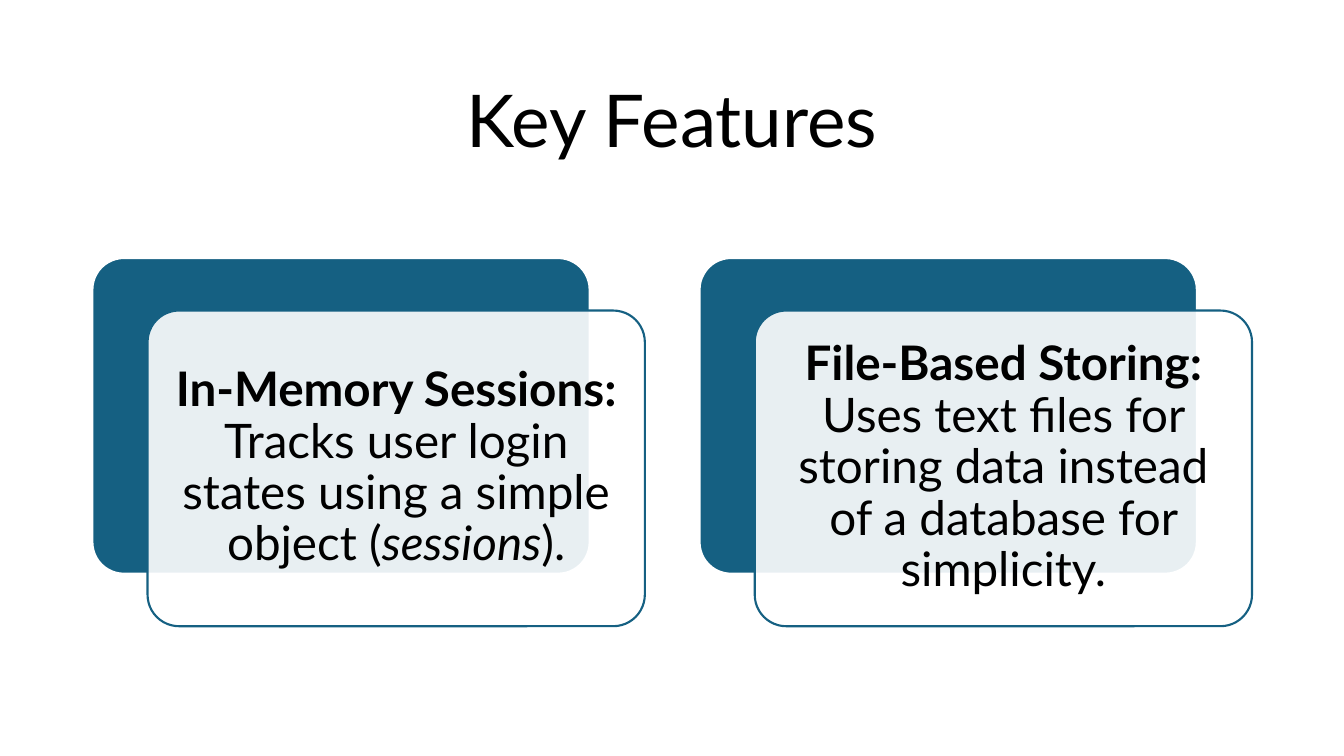
from lxml.etree import SubElement
from pptx import Presentation
from pptx.dml.color import RGBColor
from pptx.enum.shapes import MSO_SHAPE as Shape
from pptx.enum.text import MSO_ANCHOR as Anchor, PP_ALIGN as Align
from pptx.oxml.ns import qn
from pptx.util import Pt

TITLE = "Key Features"
FEATURES = [
    [("In-Memory Sessions: ", "bold"),
     ("Tracks user login states using a simple object (", ""),
     ("sessions", "italic"),
     (").", "")],
    [("File-Based Storing: ", "bold"),
     ("Uses text files for storing data instead of a database for simplicity.", "")],
]
BLUE, WHITE, BLACK = "156082", "FFFFFF", "000000"
FONT = "Lato"

LEFT, TOP = 66, 184.3
CARD_WIDTH, CARD_HEIGHT = 355.2, 225.5
CARD_STEP = 433.7
SHIFT_X, SHIFT_Y = 39.4, 37.5
TEXT_INSET = 6.6


def color(value):
    return RGBColor.from_string(value)


def add_text(page, spans, left, top, width, height, size, margin):
    frame = page.shapes.add_textbox(Pt(left), Pt(top), Pt(width), Pt(height)).text_frame
    frame.word_wrap = True
    frame.vertical_anchor = Anchor.MIDDLE
    frame.margin_left = frame.margin_right = Pt(margin)
    frame.margin_top = frame.margin_bottom = Pt(margin)
    para = frame.paragraphs[0]
    para.alignment = Align.CENTER
    para.line_spacing = 0.9
    for text, style in spans:
        span = para.add_run()
        span.text = text
        span.font.name = FONT
        span.font.size = Pt(size)
        span.font.bold = style == "bold"
        span.font.italic = style == "italic"
        span.font.color.rgb = color(BLACK)


def add_card(page, left, top, fill, line, opacity=100):
    card = page.shapes.add_shape(Shape.ROUNDED_RECTANGLE, Pt(left), Pt(top),
                                 Pt(CARD_WIDTH), Pt(CARD_HEIGHT))
    card.adjustments[0] = 0.1
    card.shadow.inherit = False
    card.fill.solid()
    card.fill.fore_color.rgb = color(fill)
    card.line.color.rgb = color(line)
    card.line.width = Pt(1.5)
    if opacity < 100:
        tint = card.fill._xPr.find(qn("a:solidFill"))[0]
        SubElement(tint, qn("a:alpha"), val=str(opacity * 1000))


def main():
    deck = Presentation()
    deck.slide_width, deck.slide_height = Pt(960), Pt(540)
    page = deck.slides.add_slide(deck.slide_layouts[6])
    add_text(page, [(TITLE, "")], LEFT, 44, 828, 89.3, size=52, margin=5)
    for index, spans in enumerate(FEATURES):
        left = LEFT + index * CARD_STEP
        front_left, front_top = left + SHIFT_X, TOP + SHIFT_Y
        add_card(page, left, TOP, BLUE, WHITE)
        add_card(page, front_left, front_top, WHITE, BLUE, opacity=90)
        add_text(page, spans, front_left + TEXT_INSET, front_top + TEXT_INSET,
                 CARD_WIDTH - 2 * TEXT_INSET, CARD_HEIGHT - 2 * TEXT_INSET,
                 size=34, margin=10.2)
    deck.save("out.pptx")


if __name__ == "__main__":
    main()
